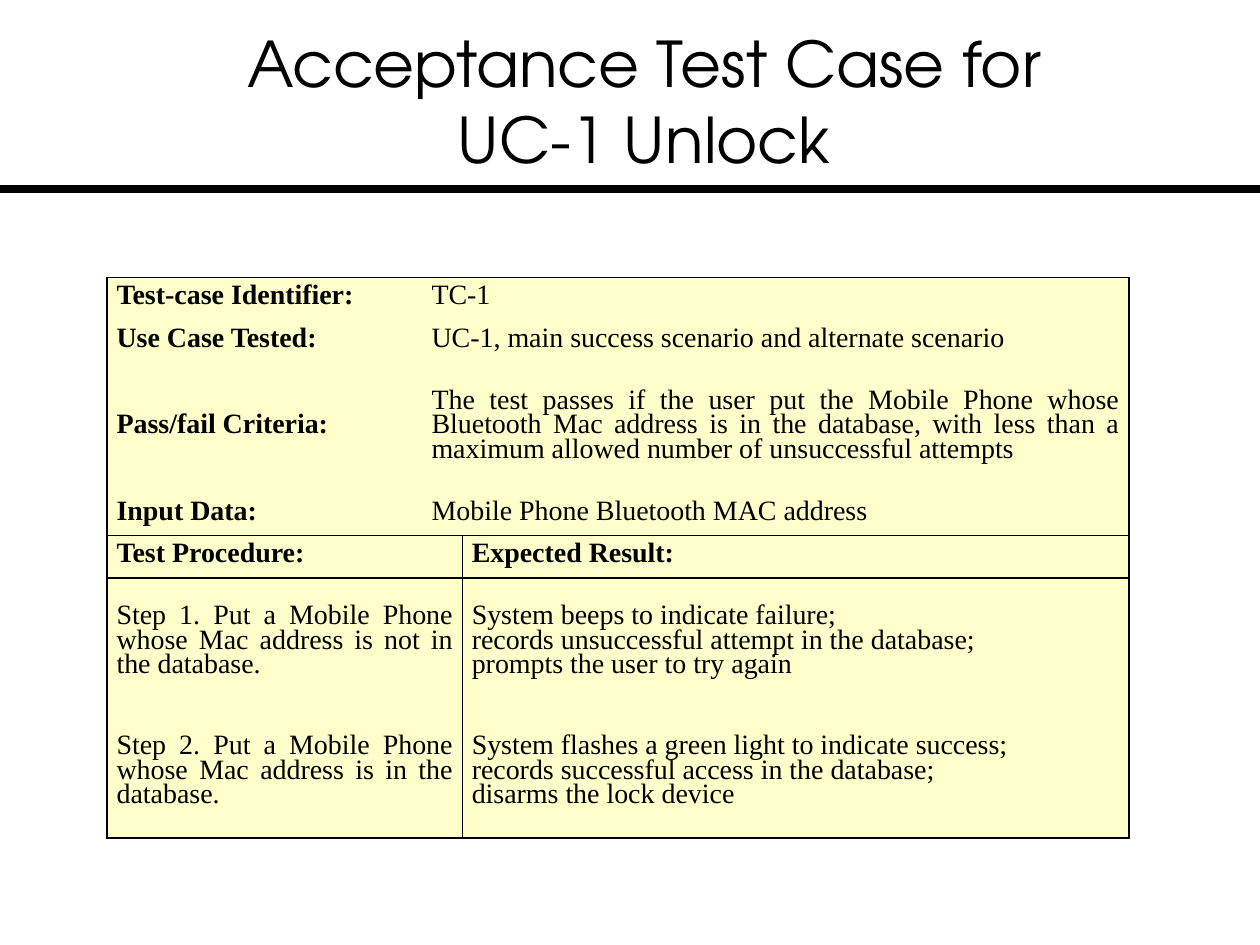
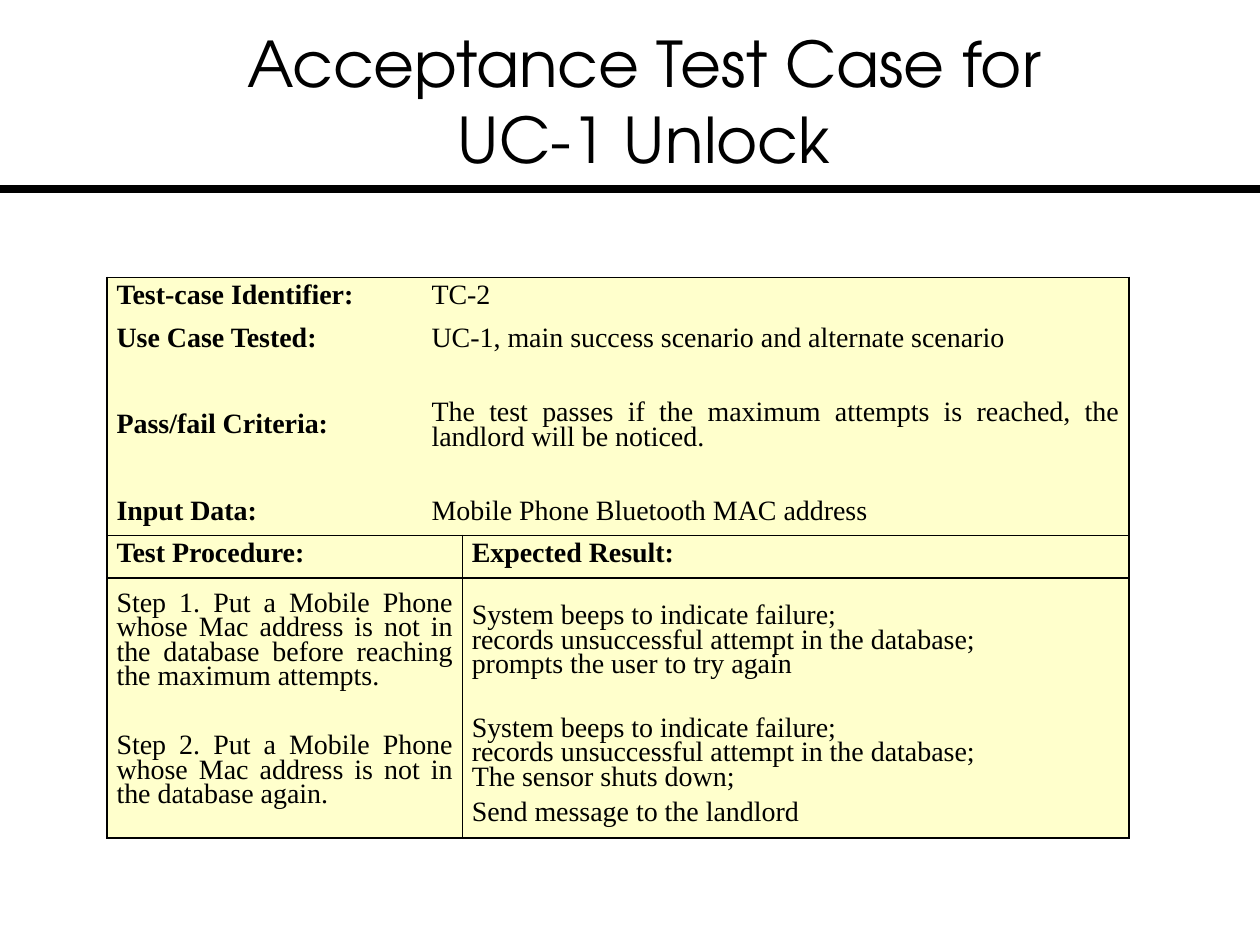
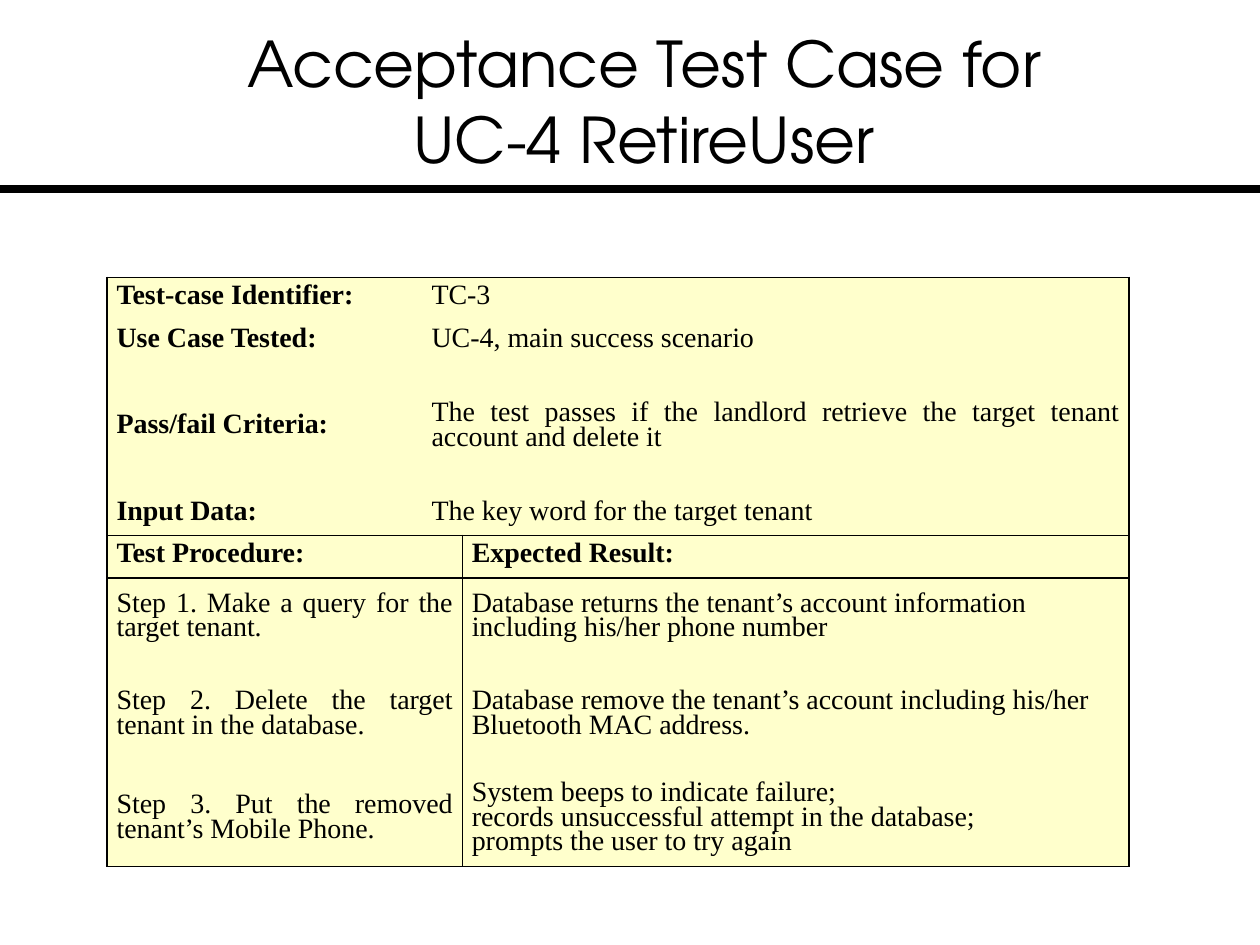
"""Build three acceptance test case slides, each with a title, a rule and a table."""
from copy import deepcopy

from lxml import etree
from pptx import Presentation
from pptx import util as u
from pptx.dml.color import RGBColor
from pptx.enum import shapes, text
from pptx.oxml.ns import qn

BLACK = RGBColor(0x00, 0x00, 0x00)
WHITE = RGBColor(0xFF, 0xFF, 0xFF)
CREAM = RGBColor(0xFF, 0xFF, 0xCC)
TITLE_FONT = "TeX Gyre Adventor"
TABLE_FONT = "Times New Roman"

COLUMN_WIDTHS = (6.35, 0.81, 13.44)
LOW_ROW, TALL_ROW = 0.86, 2.62
DETAIL_HEIGHTS = (LOW_ROW, LOW_ROW, TALL_ROW, LOW_ROW)
LABELS = ("Test-case Identifier:", "Use Case Tested:", "Pass/fail Criteria:", "Input Data:")
HEADINGS = ("Test Procedure:", "Expected Result:")
HEADING_ROW = len(LABELS)

FAILURE = "System beeps to indicate failure;\vrecords unsuccessful attempt in the database;\v"
TRY_AGAIN = FAILURE + "prompts the user to try again"
MAC_ADDRESS = "Mobile Phone Bluetooth MAC address"
BOTH_SCENARIOS = "UC-1, main success scenario and alternate scenario"

TEST_CASES = (
    {
        "use_case": "UC-1 Unlock",
        "details": (
            "TC-1",
            BOTH_SCENARIOS,
            "The test passes if the user put the Mobile Phone whose Bluetooth Mac address is in "
            "the database, with less than a maximum allowed number of unsuccessful attempts",
            MAC_ADDRESS,
        ),
        "steps": (
            ("Step 1. Put a Mobile Phone whose Mac address is not in the database.", TRY_AGAIN),
            ("Step 2. Put a Mobile Phone whose Mac address is in the database.",
             "System flashes a green light to indicate success;\v"
             "records successful access in the database;\vdisarms the lock device"),
        ),
        "step_heights": (TALL_ROW, TALL_ROW),
    },
    {
        "use_case": "UC-1 Unlock",
        "details": (
            "TC-2",
            BOTH_SCENARIOS,
            "The test passes if the maximum attempts is reached, the landlord will be noticed.",
            MAC_ADDRESS,
        ),
        "steps": (
            ("Step 1. Put a Mobile Phone whose Mac address is not in the database "
             "before reaching the maximum attempts.", TRY_AGAIN),
            ("Step 2. Put a Mobile Phone whose Mac address is not in the database again.",
             FAILURE + "The sensor shuts down;\nSend message to the landlord"),
        ),
        "step_heights": (TALL_ROW, TALL_ROW),
    },
    {
        "use_case": "UC-4 RetireUser",
        "details": (
            "TC-3",
            "UC-4, main success scenario",
            "The test passes if the landlord retrieve the target tenant account and delete it",
            "The key word for the target tenant",
        ),
        "steps": (
            ("Step 1. Make a query for the target tenant.",
             "Database returns the tenant’s account information including his/her phone number"),
            ("Step 2. Delete the target tenant in the database.",
             "Database remove the tenant’s account including his/her Bluetooth MAC address."),
            ("Step 3. Put the removed tenant’s Mobile Phone.", TRY_AGAIN),
        ),
        "step_heights": (1.63, 2.31, 1.88),
    },
)


def format_paragraph(paragraph, alignment, font_name, size, bold=False):
    paragraph.alignment = alignment
    for run in paragraph.runs:
        run.font.name = font_name
        run.font.size = u.Pt(size)
        run.font.bold = bold
        run.font.color.rgb = BLACK
        line_break = run.font._element.getparent().getnext()
        if line_break is not None and line_break.tag == qn("a:br"):
            line_break.append(deepcopy(run.font._element))


def set_borders(cell, sides):
    properties = cell._tc.get_or_add_tcPr()
    for index, side in enumerate("LRTB"):
        border = etree.Element(qn(f"a:ln{side}"), w=str(u.Pt(1)))
        if side in sides:
            fill = etree.SubElement(border, qn("a:solidFill"))
            etree.SubElement(fill, qn("a:srgbClr"), val=str(BLACK))
        else:
            etree.SubElement(border, qn("a:noFill"))
        properties.insert(index, border)


presentation = Presentation()
presentation.slide_width = u.Cm(25.4)
presentation.slide_height = u.Cm(19.05)
title_only = presentation.slide_layouts.get_by_name("Title Only")

for case in TEST_CASES:
    slide = presentation.slides.add_slide(title_only)
    slide.background.fill.solid()
    slide.background.fill.fore_color.rgb = WHITE

    rule = slide.shapes.add_connector(
        shapes.MSO_CONNECTOR.STRAIGHT, 0, u.Cm(3.81), presentation.slide_width, u.Cm(3.81))
    rule.line.color.rgb = BLACK
    rule.line.width = u.Pt(4.5)
    etree.SubElement(rule.element.spPr, qn("a:effectLst"))

    title = slide.shapes.title
    title.left, title.top = u.Cm(1.07), u.Cm(0.43)
    title.width, title.height = u.Cm(23.83), u.Cm(3.18)
    frame = title.text_frame
    frame.text = "Acceptance Test Case for\v" + case["use_case"]
    frame.auto_size = text.MSO_AUTO_SIZE.NONE
    frame.word_wrap = True
    frame.vertical_anchor = text.MSO_ANCHOR.MIDDLE
    frame.margin_left = frame.margin_right = 0
    frame.margin_top = frame.margin_bottom = u.Cm(0.13)
    format_paragraph(frame.paragraphs[0], text.PP_ALIGN.CENTER, TITLE_FONT, 36)

    rows = [*zip(LABELS, case["details"]), HEADINGS, *case["steps"]]
    heights = (*DETAIL_HEIGHTS, LOW_ROW, *case["step_heights"])
    table = slide.shapes.add_table(
        len(rows), len(COLUMN_WIDTHS), u.Cm(2.16), u.Cm(5.59),
        u.Cm(sum(COLUMN_WIDTHS)), u.Cm(sum(heights))).table
    table.first_row = table.horz_banding = False
    for column, width in zip(table.columns, COLUMN_WIDTHS):
        column.width = u.Cm(width)

    for row, (texts, height) in enumerate(zip(rows, heights)):
        table.rows[row].height = u.Cm(height)
        boxed = row >= HEADING_ROW
        spans = ((0, 1), (2, 2)) if boxed else ((0, 0), (1, 2))
        edges = ("T" if row in (0, HEADING_ROW, HEADING_ROW + 1) else "") + (
            "B" if row in (HEADING_ROW - 1, HEADING_ROW, len(rows) - 1) else "")
        for position, ((first, last), content) in enumerate(zip(spans, texts)):
            cell = table.cell(row, first)
            if last > first:
                cell.merge(table.cell(row, last))
            for column in range(first, last + 1):
                part = table.cell(row, column)
                part.fill.solid()
                part.fill.fore_color.rgb = CREAM
                left = "L" if column == first and (boxed or first == 0) else ""
                right = "R" if boxed or last == 2 else ""
                set_borders(part, left + right + edges)

            cell.vertical_anchor = text.MSO_ANCHOR.MIDDLE
            cell.margin_left = cell.margin_right = u.Cm(0.19)
            cell.margin_top = cell.margin_bottom = 0
            cell.text_frame.text = content
            is_result = row > HEADING_ROW and position == 1
            alignment = text.PP_ALIGN.LEFT if is_result else text.PP_ALIGN.JUSTIFY
            bold = row == HEADING_ROW or (row < HEADING_ROW and position == 0)
            for paragraph in cell.text_frame.paragraphs:
                paragraph.line_spacing = u.Pt(14)
                paragraph.space_before = u.Pt(6)
                format_paragraph(paragraph, alignment, TABLE_FONT, 16, bold)

presentation.save("out.pptx")
